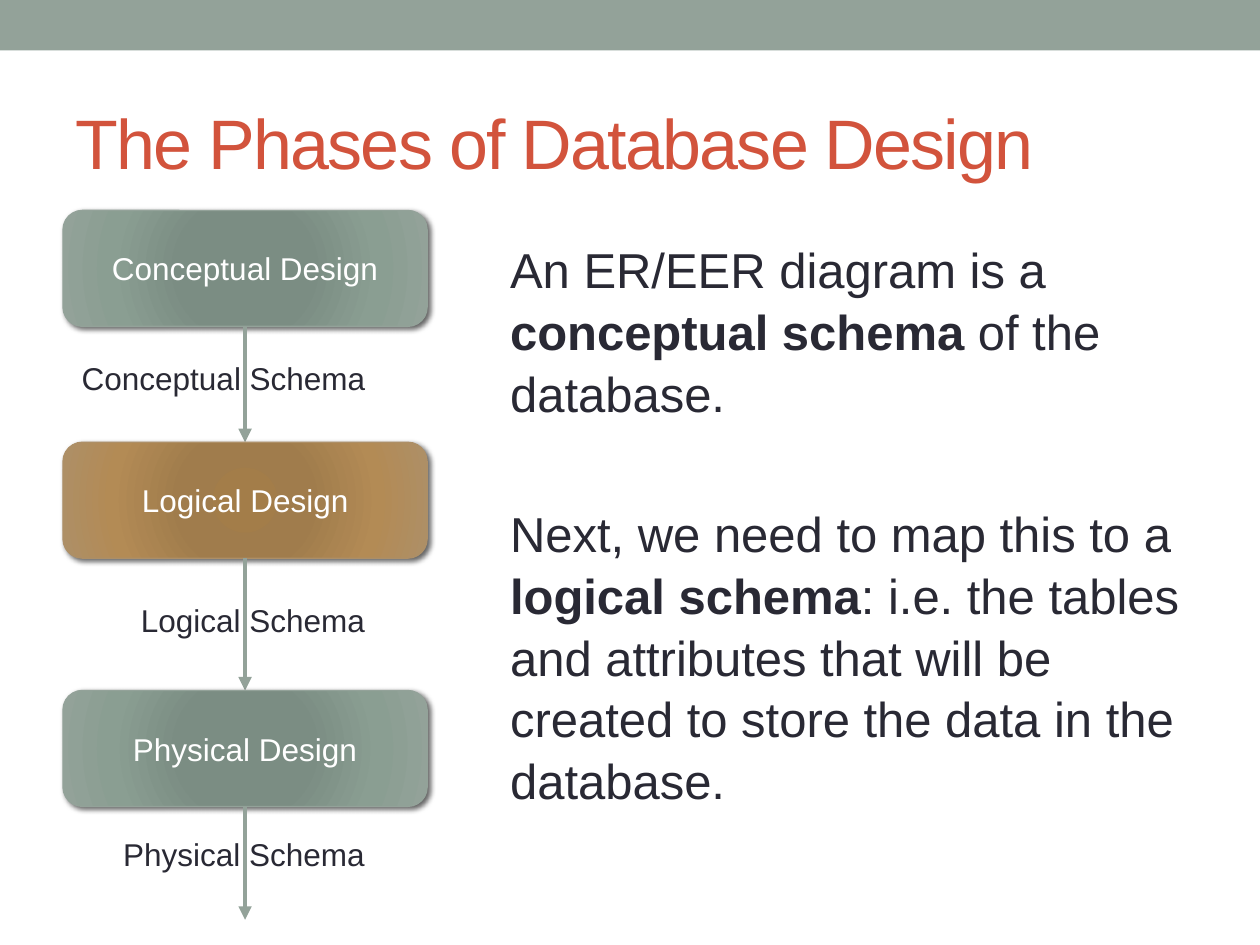
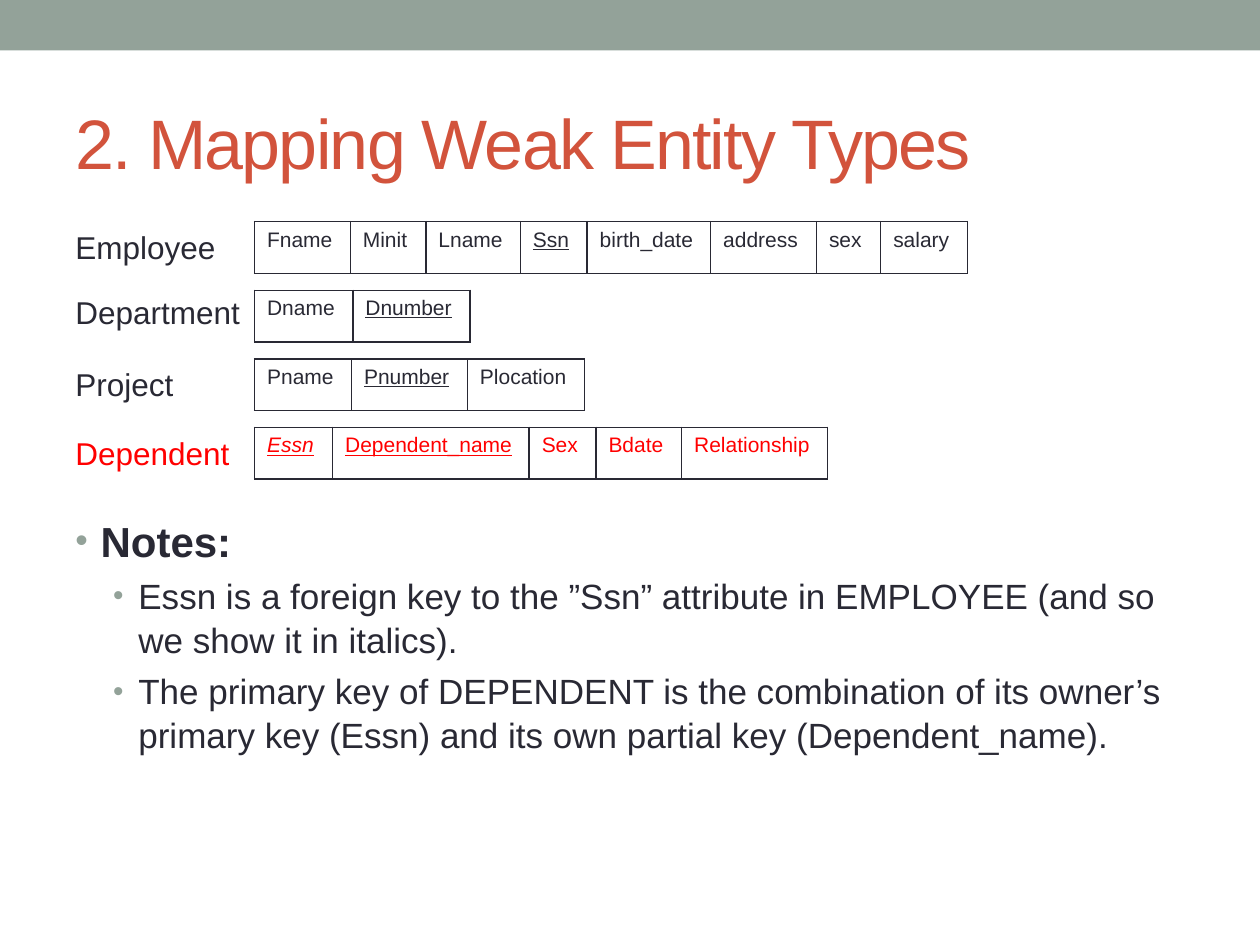
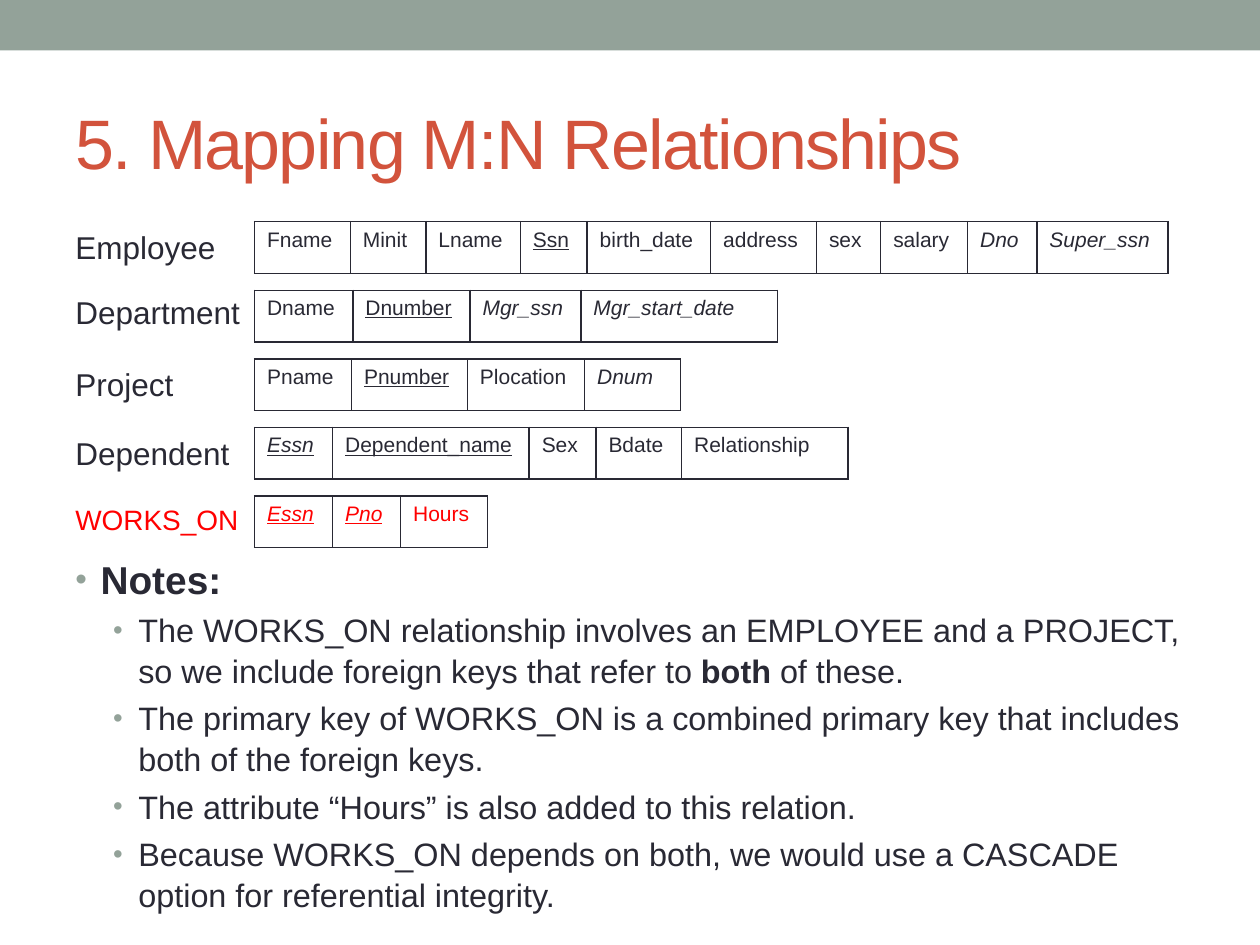
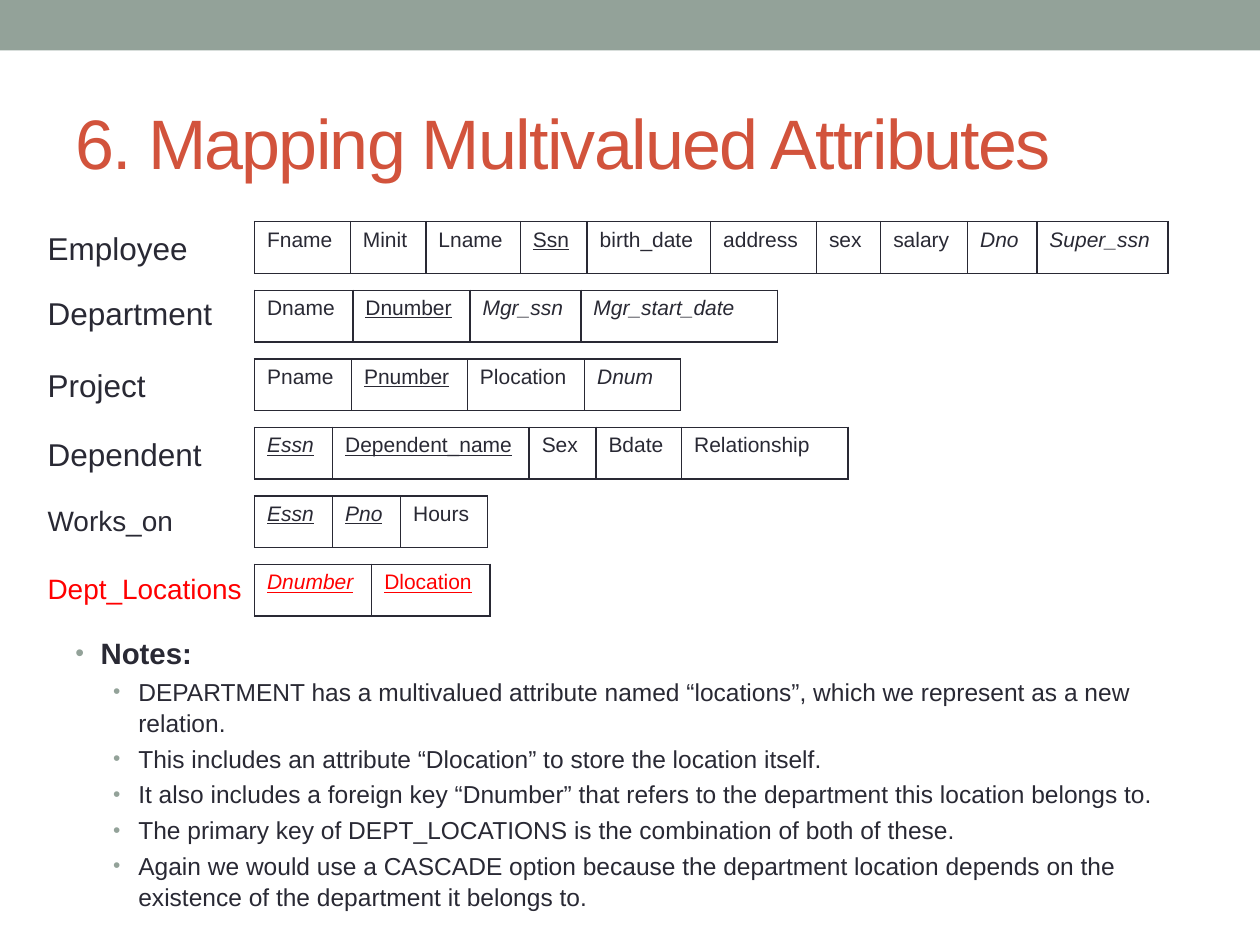
from lxml import etree
from pptx import Presentation
from pptx.dml.color import RGBColor
from pptx.enum.shapes import MSO_CONNECTOR, MSO_SHAPE
from pptx.enum.text import MSO_ANCHOR, MSO_AUTO_SIZE, PP_ALIGN
from pptx.oxml import parse_xml
from pptx.oxml.ns import nsdecls, qn
from pptx.util import Inches, Pt

STRAIGHT = MSO_CONNECTOR.STRAIGHT
RECT, ROUND_RECT = MSO_SHAPE.RECTANGLE, MSO_SHAPE.ROUNDED_RECTANGLE
MIDDLE = MSO_ANCHOR.MIDDLE
LEFT, CENTER = PP_ALIGN.LEFT, PP_ALIGN.CENTER
NO_FIT, GROW = MSO_AUTO_SIZE.NONE, MSO_AUTO_SIZE.SHAPE_TO_FIT_TEXT

FONT = "Arial"
COLORS = {
    "sage": "93A299",
    "tan": "AD8F67",
    "title": "D2533C",
    "text": "292934",
    "new": "FF0000",
    "white": "FFFFFF",
    "shadow": "000000",
}
GRADIENTS = {
    "sage": {0: "7B8E82", 34: "7B8D83", 70: "8A9E92", 100: "93A299"},
    "tan": {0: "A37D49", 34: "A07C4C", 70: "B38B55", 100: "AD8F67"},
}

PHASE_LEFT, PHASE_W, PHASE_H = 0.5, 2.89, 0.92
PHASES = [
    ("Conceptual", "sage", 1.67, 3.51, (0.55, 2.8, 2.48)),
    ("Logical", "tan", 3.51, 5.48, (1.02, 4.72, 2)),
    ("Physical", "sage", 5.48, 7.3, (0.88, 6.58, 2.14)),
]

TABLE_LEFT, FIRST_ROW, LAST_ROW, ROW_H = 2.02, 1.76, 4.48, 0.41
LABEL_DROPS = {"Department": -0.03}

EMPLOYEE = [
    ("Fname", 0.76, ""), ("Minit", 0.6, ""), ("Lname", 0.75, ""),
    ("Ssn", 0.53, "u"), ("birth_date", 0.98, ""), ("address", 0.84, ""),
    ("sex", 0.51, ""), ("salary", 0.69, ""), ("Dno", 0.55, "i"),
    ("Super_ssn", 1.04, "i"),
]
DEPARTMENT = [
    ("Dname", 0.78, ""), ("Dnumber", 0.93, "u"), ("Mgr_ssn", 0.88, "i"),
    ("Mgr_start_date", 1.56, "i"),
]
PROJECT = [
    ("Pname", 0.77, ""), ("Pnumber", 0.92, "u"), ("Plocation", 0.93, ""),
    ("Dnum", 0.76, "i"),
]
DEPENDENT = [
    ("Essn", 0.62, "iu"), ("Dependent_name", 1.56, "u"), ("Sex", 0.53, ""),
    ("Bdate", 0.68, ""), ("Relationship", 1.32, ""),
]
WORKS_ON = [("Essn", 0.62, "iu"), ("Pno", 0.54, "iu"), ("Hours", 0.69, "")]
DEPT_LOCATIONS = [("Dnumber", 0.93, "iu"), ("Dlocation", 0.94, "u")]

EARLY_SCHEMA = [
    ("Employee", 1.32, 18, EMPLOYEE[:8]),
    ("Department", 1.52, 18, DEPARTMENT[:2]),
    ("Project", 0.99, 18, PROJECT[:3]),
    ("Dependent", 1.44, 18, DEPENDENT[:4] + [("Relationship", 1.16, "")]),
]
FULL_SCHEMA = [
    ("Employee", 1.32, 18, EMPLOYEE),
    ("Department", 1.52, 18, DEPARTMENT),
    ("Project", 0.99, 18, PROJECT),
    ("Dependent", 1.44, 18, DEPENDENT),
]

WEAK_ENTITY_NOTES = [
    [("Essn is a foreign key to the ”Ssn” attribute in EMPLOYEE "
      "(and so we show it in italics).", "")],
    [("The primary key of DEPENDENT is the combination of its owner’s "
      "primary key (Essn) and its own partial key (Dependent_name).", "")],
]
MANY_TO_MANY_NOTES = [
    [("The WORKS_ON relationship involves an EMPLOYEE and a PROJECT, "
      "so we include foreign keys that refer to ", ""),
     ("both", "b"), (" of these.", "")],
    [("The primary key of WORKS_ON is a combined primary key that includes "
      "both of the foreign keys.", "")],
    [("The attribute “Hours” is also added to this relation.", "")],
    [("Because WORKS_ON depends on both, we would use a CASCADE option "
      "for referential integrity.", "")],
]
MULTIVALUED_NOTES = [
    [("DEPARTMENT has a multivalued attribute named “locations”, "
      "which we represent as a new relation.", "")],
    [("This includes an attribute “Dlocation” to store the location itself.", "")],
    [("It also includes a foreign key “Dnumber” that refers to the department "
      "this location belongs to.", "")],
    [("The primary key of DEPT_LOCATIONS is the combination of both of these.", "")],
    [("Again we would use a CASCADE option because the department location "
      "depends on the existence of the department it belongs to.", "")],
]


def rgb(name):
    """Return the named colour."""
    return RGBColor.from_string(COLORS[name])


def inches(*values):
    """Turn numbers into lengths."""
    return [Inches(v) for v in values]


def add_run(p, text, size, color="text", style=""):
    """Add a run; style letters are b, i and u."""
    r = p.add_run()
    r.text = text
    r.font.name, r.font.size = FONT, Pt(size)
    r.font.color.rgb = rgb(color)
    r.font.bold = "b" in style
    r.font.italic = "i" in style
    r.font.underline = "u" in style
    return r


def add_slide(prs, title):
    """Add a slide with the top band and its title."""
    slide = prs.slides.add_slide(prs.slide_layouts[5])
    band = slide.shapes.add_shape(RECT, *inches(0, 0, 10, 0.4))
    band.shadow.inherit = False
    band.fill.solid()
    band.fill.fore_color.rgb = rgb("sage")
    band.line.fill.background()
    s = slide.shapes.title
    s.left, s.top, s.width, s.height = inches(0.5, 0.58, 9, 1.08)
    tf = s.text_frame
    tf.auto_size, tf.vertical_anchor = NO_FIT, MIDDLE
    p = tf.paragraphs[0]
    p.alignment = LEFT
    r = add_run(p, title, 40, "title")
    r.font._element.set("spc", "-100")
    return slide


def add_label(slide, text, left, top, width, size=18, color="text"):
    """Add a one-line text box."""
    s = slide.shapes.add_textbox(*inches(left, top, width, 0.4 if size == 18 else 0.37))
    tf = s.text_frame
    tf.word_wrap, tf.auto_size = False, GROW
    add_run(tf.paragraphs[0], text, size, color)


def add_body(slide, left, top, width, height):
    """Add a wrapping text box and return its frame."""
    tf = slide.shapes.add_textbox(*inches(left, top, width, height)).text_frame
    tf.word_wrap = True
    return tf


def add_paragraph(tf, runs, size, space=0):
    """Fill the next paragraph with (text, style) runs."""
    p = tf.paragraphs[0]
    if p.runs:
        p = tf.add_paragraph()
        p.space_before = Pt(space)
    p.line_spacing = 1.05
    for text, style in runs:
        add_run(p, text, size, style=style)
    return p


def add_bullet(p, indent):
    """Give a paragraph a hanging bullet."""
    pPr = p._p.get_or_add_pPr()
    pPr.set("marL", str(Inches(indent)))
    pPr.set("indent", str(Inches(-0.2)))
    color = etree.SubElement(pPr, qn("a:buClr"))
    etree.SubElement(color, qn("a:srgbClr"), val=COLORS["sage"])
    etree.SubElement(pPr, qn("a:buSzPct"), val="85000")
    etree.SubElement(pPr, qn("a:buFont"), typeface=FONT)
    etree.SubElement(pPr, qn("a:buChar"), char="•")


def add_notes(slide, top, height, head_size, size, notes):
    """Add the bulleted notes under the relations."""
    tf = add_body(slide, 0.5, top, 9, height)
    add_bullet(add_paragraph(tf, [("Notes:", "b")], head_size), 0.2)
    for runs in notes:
        add_bullet(add_paragraph(tf, runs, size, size * 0.2), 0.5)


def add_phase(slide, text, color, top):
    """Add a shaded phase box with a soft shadow."""
    s = slide.shapes.add_shape(ROUND_RECT, *inches(PHASE_LEFT, top, PHASE_W, PHASE_H))
    s.shadow.inherit = False
    s.fill.background()
    s.line.color.rgb, s.line.width = rgb(color), Pt(0.75)
    stops = "".join(
        f'<a:gs pos="{pos * 1000}"><a:srgbClr val="{value}"/></a:gs>'
        for pos, value in GRADIENTS[color].items())
    spPr = s._element.spPr
    spPr.replace(spPr.find(qn("a:noFill")), parse_xml(
        f'<a:gradFill {nsdecls("a")}><a:gsLst>{stops}</a:gsLst><a:path path="circle">'
        '<a:fillToRect l="100000" t="100000" r="100000" b="100000"/></a:path></a:gradFill>'))
    spPr.find(qn("a:effectLst")).append(parse_xml(
        f'<a:outerShdw {nsdecls("a")} blurRad="{Pt(3)}" dist="{Pt(2)}" dir="2700000">'
        f'<a:srgbClr val="{COLORS["shadow"]}"><a:alpha val="60000"/></a:srgbClr></a:outerShdw>'))
    tf = s.text_frame
    tf.word_wrap, tf.vertical_anchor = True, MIDDLE
    p = tf.paragraphs[0]
    p.alignment = CENTER
    add_run(p, text, 18, "white")


def add_arrow(slide, x, top, bottom):
    """Add a downward arrow."""
    s = slide.shapes.add_connector(STRAIGHT, *inches(x, top, x, bottom))
    s.line.color.rgb, s.line.width = rgb("sage"), Pt(2.58)
    etree.SubElement(s.line._get_or_add_ln(), qn("a:tailEnd"), type="triangle")
    etree.SubElement(s._element.spPr, qn("a:effectLst"))


def add_borders(cell):
    """Draw a thin line on every side of a cell."""
    tcPr = cell._tc.get_or_add_tcPr()
    for i, side in enumerate("LRTB"):
        tcPr.insert(i, parse_xml(
            f'<a:ln{side} {nsdecls("a")} w="{Pt(1)}"><a:solidFill>'
            f'<a:srgbClr val="{COLORS["text"]}"/></a:solidFill></a:ln{side}>'))


def add_relation(slide, top, attributes, color):
    """Add a one-row table of attributes."""
    width = sum(w for _, w, _ in attributes)
    table = slide.shapes.add_table(
        1, len(attributes), *inches(TABLE_LEFT, top, width, ROW_H)).table
    table.first_row = table.horz_banding = False
    for i, (name, w, style) in enumerate(attributes):
        table.columns[i].width = Inches(w)
        cell = table.cell(0, i)
        cell.fill.background()
        add_borders(cell)
        add_run(cell.text_frame.paragraphs[0], name, 12, color, style)


def add_schema(slide, relations, label_left=0.5, label_drop=0):
    """Stack the relations, the newest one last and highlighted."""
    for i, (name, width, size, attributes) in enumerate(relations):
        color = "new" if i == len(relations) - 1 else "text"
        top = FIRST_ROW + i * (LAST_ROW - FIRST_ROW) / 5
        add_relation(slide, top, attributes, color)
        drop = label_drop + LABEL_DROPS.get(name, 0)
        add_label(slide, name, label_left, top + drop, width, size, color)


def add_phases_slide(prs):
    """Build the slide on the design phases."""
    slide = add_slide(prs, "The Phases of Database Design")
    for name, color, top, arrow_end, label_at in PHASES:
        add_phase(slide, f"{name} Design", color, top)
        add_arrow(slide, PHASE_LEFT + PHASE_W / 2, top + PHASE_H, arrow_end)
        add_label(slide, f"{name} Schema", *label_at)
    tf = add_body(slide, 3.95, 1.83, 5.55, 5.16)
    add_paragraph(tf, [("An ER/EER diagram is a ", ""), ("conceptual schema", "b"),
                       (" of the database.", "")], 28)
    add_paragraph(tf, [("Next, we need to map this to a ", ""), ("logical schema", "b"),
                       (": i.e. the tables and attributes that will be created "
                        "to store the data in the database.", "")], 28, 45)


def main():
    """Build and save the slides."""
    prs = Presentation()
    prs.slide_width, prs.slide_height = inches(10, 7.5)
    add_phases_slide(prs)

    slide = add_slide(prs, "2. Mapping Weak Entity Types")
    add_schema(slide, EARLY_SCHEMA)
    add_notes(slide, 4.02, 3.06, 24, 20, WEAK_ENTITY_NOTES)

    slide = add_slide(prs, "5. Mapping M:N Relationships")
    add_schema(slide, FULL_SCHEMA + [("WORKS_ON", 1.51, 16, WORKS_ON)])
    add_notes(slide, 4.34, 2.74, 22.2, 18.5, MANY_TO_MANY_NOTES)

    slide = add_slide(prs, "6. Mapping Multivalued Attributes")
    add_schema(slide, FULL_SCHEMA + [
        ("Works_on", 1.21, 16, WORKS_ON),
        ("Dept_Locations", 1.76, 16, DEPT_LOCATIONS),
    ], 0.28, 0.01)
    add_notes(slide, 4.98, 2.11, 16.8, 14, MULTIVALUED_NOTES)
    prs.save("out.pptx")


if __name__ == "__main__":
    main()
